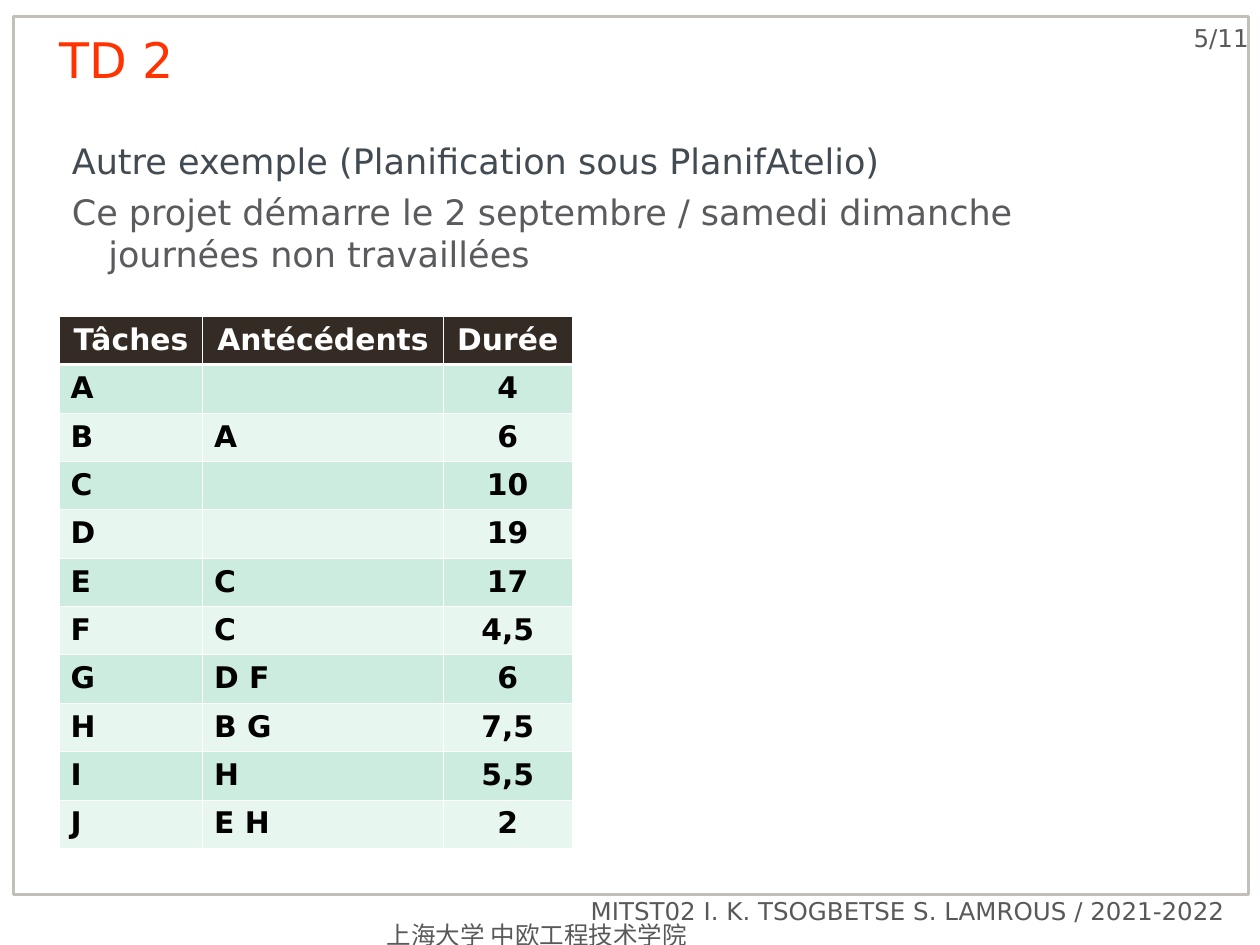
import pptx
import pptx.dml.color
import pptx.enum.shapes
import pptx.enum.text
import pptx.oxml.ns
import pptx.util
from lxml import etree

Inches, Pt = pptx.util.Inches, pptx.util.Pt
RGBColor = pptx.dml.color.RGBColor
PP_ALIGN = pptx.enum.text.PP_ALIGN
qn = pptx.oxml.ns.qn

FONT = "DejaVu Sans"
WHITE = RGBColor(0xFF, 0xFF, 0xFF)
BLACK = RGBColor(0, 0, 0)
GREY = RGBColor(0x59, 0x59, 0x59)
FRAME = RGBColor(0xC2, 0xBF, 0xB8)
ORANGE = RGBColor(0xFF, 0x33, 0x00)
SLATE = RGBColor(0x42, 0x4A, 0x52)
BODY_GREY = RGBColor(0x5A, 0x5B, 0x5E)
HEADER = RGBColor(0x33, 0x2B, 0x24)
BANDS = (RGBColor(0xCB, 0xEC, 0xDE), RGBColor(0xE7, 0xF6, 0xEF))

COLUMN_WIDTHS = (1.14, 1.91, 1.02)
TASKS = [
    ("Tâches", "Antécédents", "Durée"),
    ("A", "", "4"),
    ("B", "A", "6"),
    ("C", "", "10"),
    ("D", "", "19"),
    ("E", "C", "17"),
    ("F", "C", "4,5"),
    ("G", "D F", "6"),
    ("H", "B G", "7,5"),
    ("I", "H", "5,5"),
    ("J", "E H", "2"),
]


def write(p, text, size, color, bold=False, align=PP_ALIGN.LEFT):
    """Fill a paragraph with one formatted run."""
    p.alignment = align
    if not text:
        # An empty cell still needs its text size to keep the row height
        p._p.get_or_add_endParaRPr().set("sz", str(size * 100))
        return
    r = p.add_run()
    r.text = text
    r.font.name = FONT
    r.font.size = Pt(size)
    r.font.bold = bold
    r.font.color.rgb = color


def place(sp, box):
    sp.left, sp.top, sp.width, sp.height = map(Inches, box)


def set_insets(tf, left, top, right, bottom):
    tf.margin_left, tf.margin_top = Inches(left), Inches(top)
    tf.margin_right, tf.margin_bottom = Inches(right), Inches(bottom)


def add_frame(s, box):
    sp = s.shapes.add_shape(
        pptx.enum.shapes.MSO_SHAPE.RECTANGLE, *map(Inches, box))
    sp.shadow.inherit = False
    sp.fill.background()
    sp.line.color.rgb = FRAME
    sp.line.width = Pt(1.5)


def add_label(s, box, text, align=PP_ALIGN.LEFT, left=0.1, right=0.1):
    tf = s.shapes.add_textbox(*map(Inches, box)).text_frame
    tf.word_wrap = True
    set_insets(tf, left, 0.05, right, 0.05)
    write(tf.paragraphs[0], text, 14, GREY, align=align)


def add_title(s, box, text):
    sp = s.shapes.title
    place(sp, box)
    tf = sp.text_frame
    tf.vertical_anchor = pptx.enum.text.MSO_ANCHOR.TOP
    tf.auto_size = pptx.enum.text.MSO_AUTO_SIZE.NONE
    set_insets(tf, 0, 0, 0.1, 0.05)
    p = tf.paragraphs[0]
    p.line_spacing = Pt(32)
    write(p, text, 28, ORANGE)


def add_body(s, box, lines):
    sp = s.placeholders[1]
    place(sp, box)
    tf = sp.text_frame
    tf.auto_size = pptx.enum.text.MSO_AUTO_SIZE.NONE
    for i, (text, color) in enumerate(lines):
        p = tf.add_paragraph() if i else tf.paragraphs[0]
        p.space_before = Pt(5)
        write(p, text, 20, color)
        # Hanging indent without a bullet
        pPr = p._p.get_or_add_pPr()
        pPr.set("marL", str(Inches(0.29)))
        pPr.set("indent", str(Inches(-0.29)))
        etree.SubElement(pPr, qn("a:buNone"))


def add_borders(cell, **widths):
    tcPr = cell._tc.get_or_add_tcPr()
    for side, width in widths.items():
        ln = etree.SubElement(tcPr, qn(f"a:ln{side}"), w=str(Pt(width)))
        fill = etree.SubElement(ln, qn("a:solidFill"))
        etree.SubElement(fill, qn("a:srgbClr"), val=str(WHITE))


def add_task_table(s, box, rows):
    table = s.shapes.add_table(
        len(rows), len(COLUMN_WIDTHS), *map(Inches, box)).table
    for column, width in zip(table.columns, COLUMN_WIDTHS):
        column.width = Inches(width)
    for i, row in enumerate(rows):
        table.rows[i].height = Inches(box[3] / len(rows))
        for j, text in enumerate(row):
            cell = table.cell(i, j)
            set_insets(cell, 0.09, 0.05, 0.09, 0.05)
            # Thicker rule between the header and the tasks
            add_borders(cell, L=0.45, R=0.45, T=1.47 if i == 1 else 0.45,
                        B=1.47 if i == 0 else 0.45)
            cell.fill.solid()
            cell.fill.fore_color.rgb = BANDS[(i - 1) % 2] if i else HEADER
            centred = i == 0 or j == 2
            write(cell.text_frame.paragraphs[0], text, 17,
                  BLACK if i else WHITE, bold=True,
                  align=PP_ALIGN.CENTER if centred else PP_ALIGN.LEFT)


def main():
    prs = pptx.Presentation()
    prs.slide_width, prs.slide_height = Inches(10), Inches(7.5)
    s = prs.slides.add_slide(prs.slide_layouts[1])

    # Frame, page number and footer
    add_frame(s, (0.11, 0.13, 9.8, 6.97))
    add_label(s, (8.79, 0.13, 1.12, 0.6), "5/11", PP_ALIGN.RIGHT,
              left=0.12, right=0)
    add_label(s, (2.9, 7.06, 6.92, 0.65),
              "MITST02 I. K. TSOGBETSE S. LAMROUS / 2021-2022",
              PP_ALIGN.RIGHT)
    add_label(s, (2.92, 7.25, 2.88, 0.34), "上海大学 中欧工程技术学院",
              left=0.15)

    # Title, introduction and task table
    add_title(s, (0.47, 0.26, 8.69, 0.58), "TD 2")
    add_body(s, (0.47, 1.06, 8.08, 5.11), [
        ("Autre exemple (Planification sous PlanifAtelio)", SLATE),
        ("Ce projet démarre le 2 septembre / samedi dimanche "
         "journées non travaillées", BODY_GREY),
    ])
    add_task_table(s, (0.47, 2.51, 4.07, 4.13), TASKS)
    prs.save("out.pptx")


if __name__ == "__main__":
    main()
